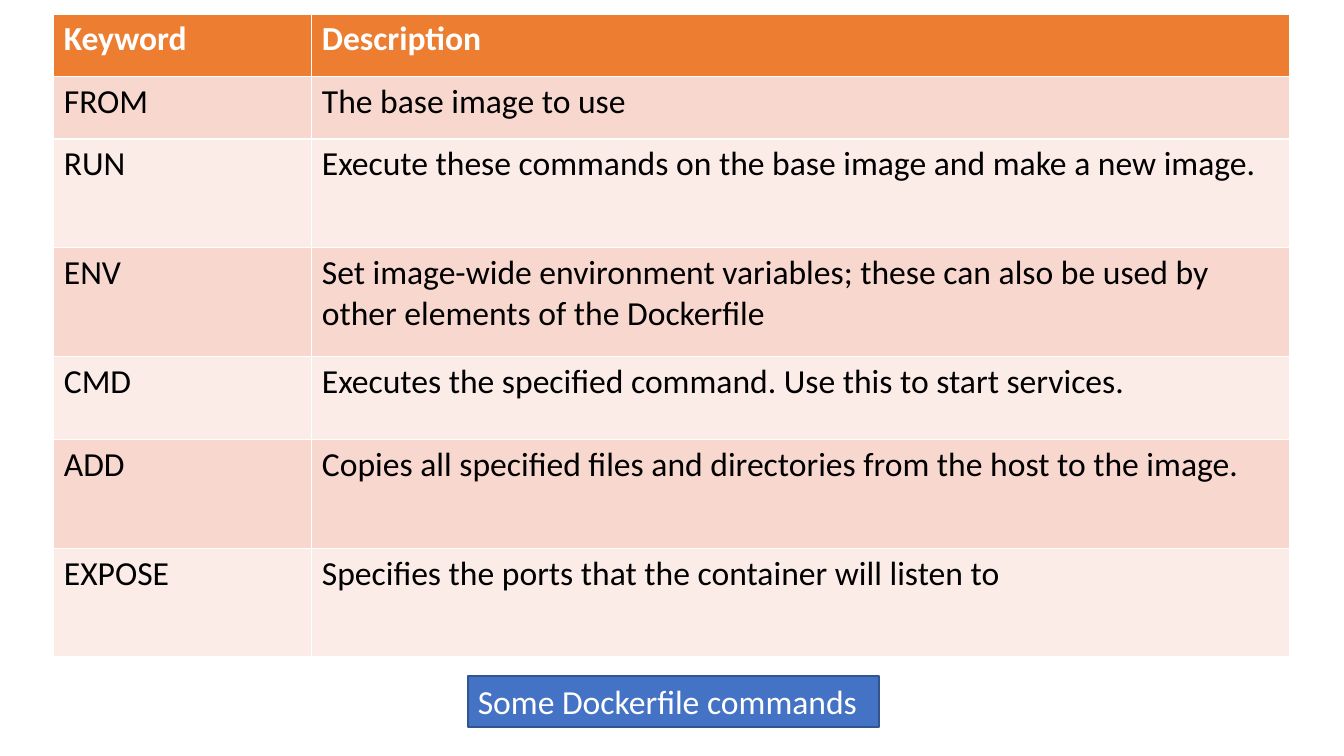
from pptx import Presentation
from pptx import util as u
from pptx.dml.color import RGBColor
from pptx.enum import shapes, text

COLORS = {
    "header": "ED7D31", "odd": "F8D7CE", "even": "FCECE8",
    "white": "FFFFFF", "black": "000000", "label": "4472C4", "outline": "325491",
}
BASE_FONT = {"name": "Calibri", "size": u.Pt(24)}

COMMANDS = [
    ("Keyword", "Description", 44.64),
    ("FROM", "The base image to use", 44.64),
    ("RUN", "Execute these commands on the base image and make a new image.", 77.76),
    ("ENV", "Set image-wide environment variables; these can also be used by "
            "other elements of the Dockerfile", 77.76),
    ("CMD", "Executes the specified command. Use this to start services.", 59.04),
    ("ADD", "Copies all specified files and directories from the host to the image.", 77.76),
    ("EXPOSE", "Specifies the ports that the container will listen to", 77.76),
]


def paint(fill, color):
    fill.solid()
    fill.fore_color.rgb = RGBColor.from_string(COLORS[color])


def write(frame, words, color, bold=False):
    paragraph = frame.paragraphs[0]
    paragraph.alignment = text.PP_ALIGN.LEFT
    run = paragraph.add_run()
    run.text = words
    for key, value in {**BASE_FONT, "bold": bold}.items():
        setattr(run.font, key, value)
    run.font.color.rgb = RGBColor.from_string(COLORS[color])


deck = Presentation()
deck.slide_width, deck.slide_height = u.Pt(960), u.Pt(540)
slide = deck.slides.add_slide(deck.slide_layouts[6])

# Table of commands; its default style draws the white rules
commands = slide.shapes.add_table(
    len(COMMANDS), 2, u.Pt(38.4), u.Pt(10), u.Pt(882.72), u.Pt(459.36)).table
for column, width in zip(commands.columns, (184.32, 698.4)):
    column.width = u.Pt(width)

for index, (keyword, description, height) in enumerate(COMMANDS):
    commands.rows[index].height = u.Pt(height)
    is_header = index == 0
    band = "header" if is_header else "odd" if index % 2 else "even"
    for cell, words in zip(commands.rows[index].cells, (keyword, description)):
        paint(cell.fill, band)
        write(cell.text_frame, words, "white" if is_header else "black", is_header)

# Label under the table
label = slide.shapes.add_shape(
    shapes.MSO_SHAPE.RECTANGLE, u.Pt(334.2), u.Pt(483), u.Pt(293.8), u.Pt(36.4))
label.shadow.inherit = False
paint(label.fill, "label")
paint(label.line.fill, "outline")
label.line.width = u.Pt(1)
for key, value in {"word_wrap": True, "vertical_anchor": text.MSO_ANCHOR.TOP,
                   "auto_size": text.MSO_AUTO_SIZE.SHAPE_TO_FIT_TEXT}.items():
    setattr(label.text_frame, key, value)
write(label.text_frame, "Some Dockerfile commands", "white")

deck.save("out.pptx")
